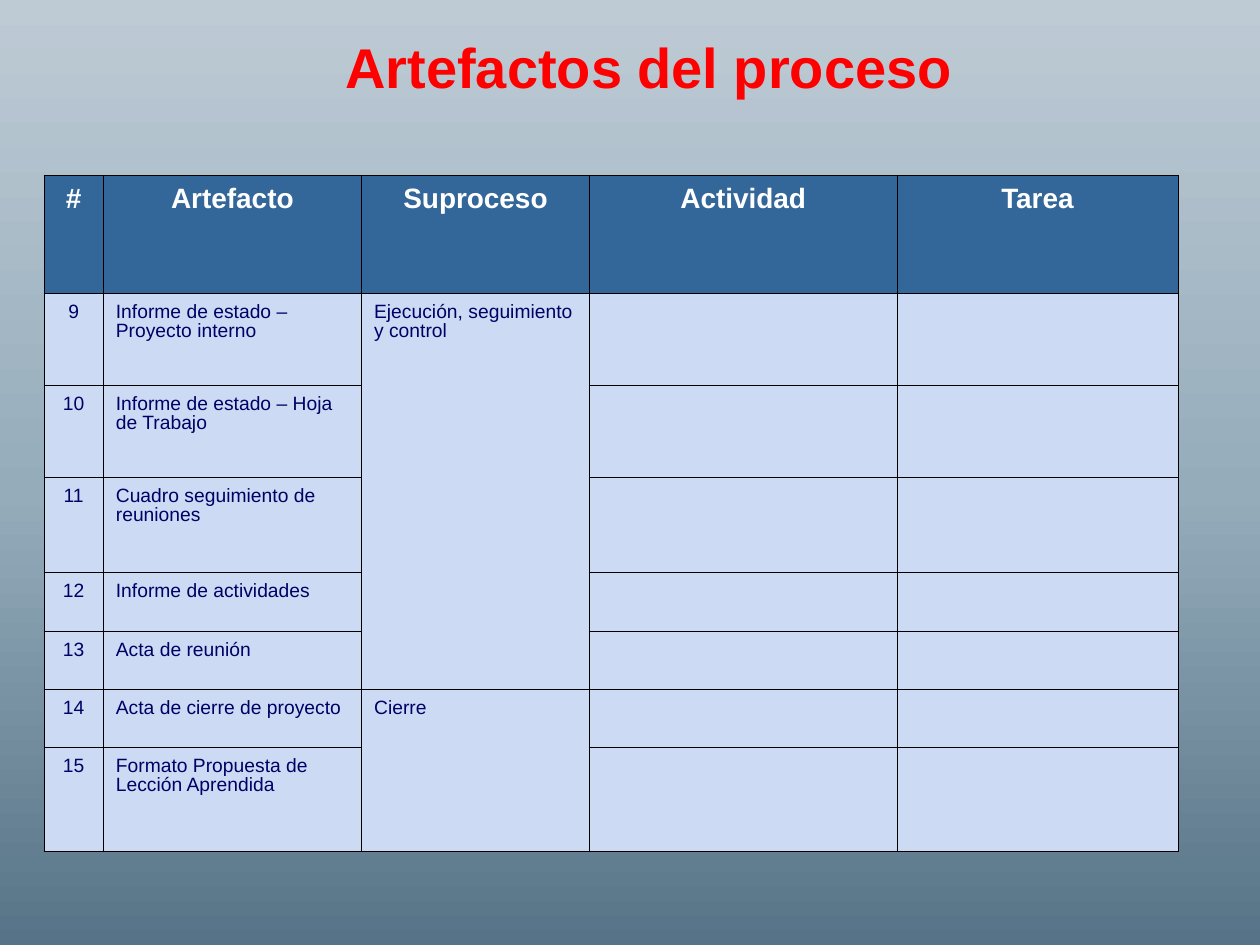
from copy import deepcopy

from pptx import Presentation
from pptx.dml.color import RGBColor
from pptx.enum.text import MSO_ANCHOR, PP_ALIGN
from pptx.oxml.ns import qn
from pptx.oxml.xmlchemy import OxmlElement
from pptx.util import Inches, Pt

LEFT, CENTER = PP_ALIGN.LEFT, PP_ALIGN.CENTER
TOP = MSO_ANCHOR.TOP
FONT = "Arial"
THIN, THICK = 0.23, 0.5

BACKGROUND_STOPS = [(0, "577387"), (0.48, "95ACBB"), (1, "BECBD5")]
COLUMN_WIDTHS = [0.47, 2.05, 1.81, 2.44, 2.23]
ROW_HEIGHTS = [0.94, 0.73, 0.73, 0.75, 0.47, 0.46, 0.46, 0.83]
ROWS = [
    ["#", "Artefacto", "Suproceso", "Actividad", "Tarea"],
    ["9", "Informe de estado – Proyecto interno", "Ejecución, seguimiento y control", "", ""],
    ["10", "Informe de estado – Hoja de Trabajo", "", "", ""],
    ["11", "Cuadro seguimiento de reuniones", "", "", ""],
    ["12", "Informe de actividades", "", "", ""],
    ["13", "Acta de reunión", "", "", ""],
    ["14", "Acta de cierre de proyecto", "Cierre", "", ""],
    ["15", "Formato Propuesta de Lección Aprendida", "", "", ""],
]
SUBPROCESS_COLUMN = 2
SUBPROCESS_SPANS = [(1, 5), (6, 7)]


def color(value):
    return RGBColor.from_string(value)


def format_font(font, size, value, bold):
    font.name = FONT
    font.size = Pt(size)
    font.bold = bold
    font.color.rgb = color(value)


def paint_background(slide):
    fill = slide.background.fill
    fill.gradient()
    fill.gradient_angle = 90
    stop_list = slide.element.find(".//" + qn("a:gsLst"))
    stop_list.append(deepcopy(stop_list[0]))
    for stop, (position, value) in zip(fill.gradient_stops, BACKGROUND_STOPS):
        stop.position = position
        stop.color.rgb = color(value)


def place_title(slide, left, top, width, height):
    title = slide.shapes.title
    title.left, title.top, title.width, title.height = left, top, width, height
    text_frame = title.text_frame
    text_frame.text = "Artefactos del proceso"
    text_frame.word_wrap = False
    text_frame.vertical_anchor = TOP
    paragraph = text_frame.paragraphs[0]
    paragraph.alignment = LEFT
    format_font(paragraph.runs[0].font, 32, "FF0000", True)


def set_borders(cell, widths):
    properties = cell._tc.get_or_add_tcPr()
    for index, (side, width) in enumerate(widths.items()):
        line = OxmlElement(f"a:{side}")
        line.set("w", str(Pt(width)))
        fill = OxmlElement("a:solidFill")
        black = OxmlElement("a:srgbClr")
        black.set("val", "000000")
        fill.append(black)
        line.append(fill)
        properties.insert(index, line)


def format_cell(cell, text, is_header, alignment):
    cell.fill.solid()
    cell.fill.fore_color.rgb = color("336699" if is_header else "CDDAF3")
    cell.margin_left = cell.margin_right = Inches(0.1)
    cell.margin_top = Inches(0.09 if is_header else 0.08)
    cell.margin_bottom = Inches(0.05)
    cell.text_frame.text = text
    paragraph = cell.text_frame.paragraphs[0]
    paragraph.alignment = alignment
    paragraph.line_spacing = 0.89
    for run in paragraph.runs:
        format_font(run.font, 16 if is_header else 11,
                    "FFFFFF" if is_header else "000066", is_header)


def place_table(slide, left, top, width, height):
    last_row, last_column = len(ROWS) - 1, len(COLUMN_WIDTHS) - 1
    table = slide.shapes.add_table(
        len(ROWS), len(COLUMN_WIDTHS), left, top, width, height).table
    for column, column_width in zip(table.columns, COLUMN_WIDTHS):
        column.width = Inches(column_width)
    for row, row_height in zip(table.rows, ROW_HEIGHTS):
        row.height = Inches(row_height)
    for first, last in SUBPROCESS_SPANS:
        table.cell(first, SUBPROCESS_COLUMN).merge(table.cell(last, SUBPROCESS_COLUMN))
    for row_index, texts in enumerate(ROWS):
        for column_index, text in enumerate(texts):
            cell = table.cell(row_index, column_index)
            is_header = row_index == 0
            format_cell(cell, text, is_header,
                        CENTER if is_header or column_index == 0 else LEFT)
            bottom_row = row_index + (cell.span_height - 1 if cell.is_merge_origin else 0)
            set_borders(cell, {
                "lnL": THICK if column_index == 0 else THIN,
                "lnR": THICK if column_index == last_column else THIN,
                "lnT": THICK if is_header else THIN,
                "lnB": THICK if bottom_row == last_row else THIN,
            })


def main():
    presentation = Presentation()
    presentation.slide_width, presentation.slide_height = Inches(10), Inches(7.5)
    slide = presentation.slides.add_slide(presentation.slide_layouts[5])
    paint_background(slide)
    place_title(slide, Inches(2.64), Inches(0.21), Inches(5.05), Inches(0.64))
    place_table(slide, Inches(0.35), Inches(1.39), Inches(9), Inches(5.37))
    presentation.save("out.pptx")


if __name__ == "__main__":
    main()
